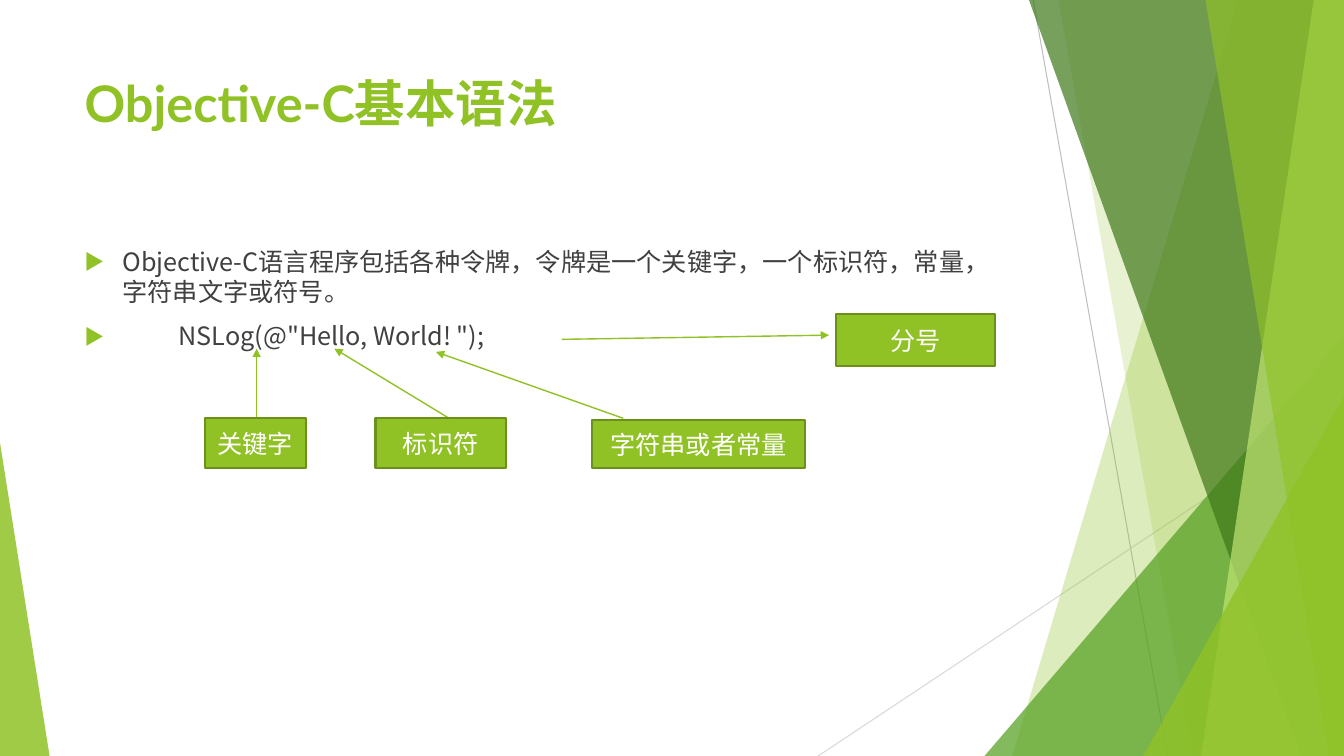
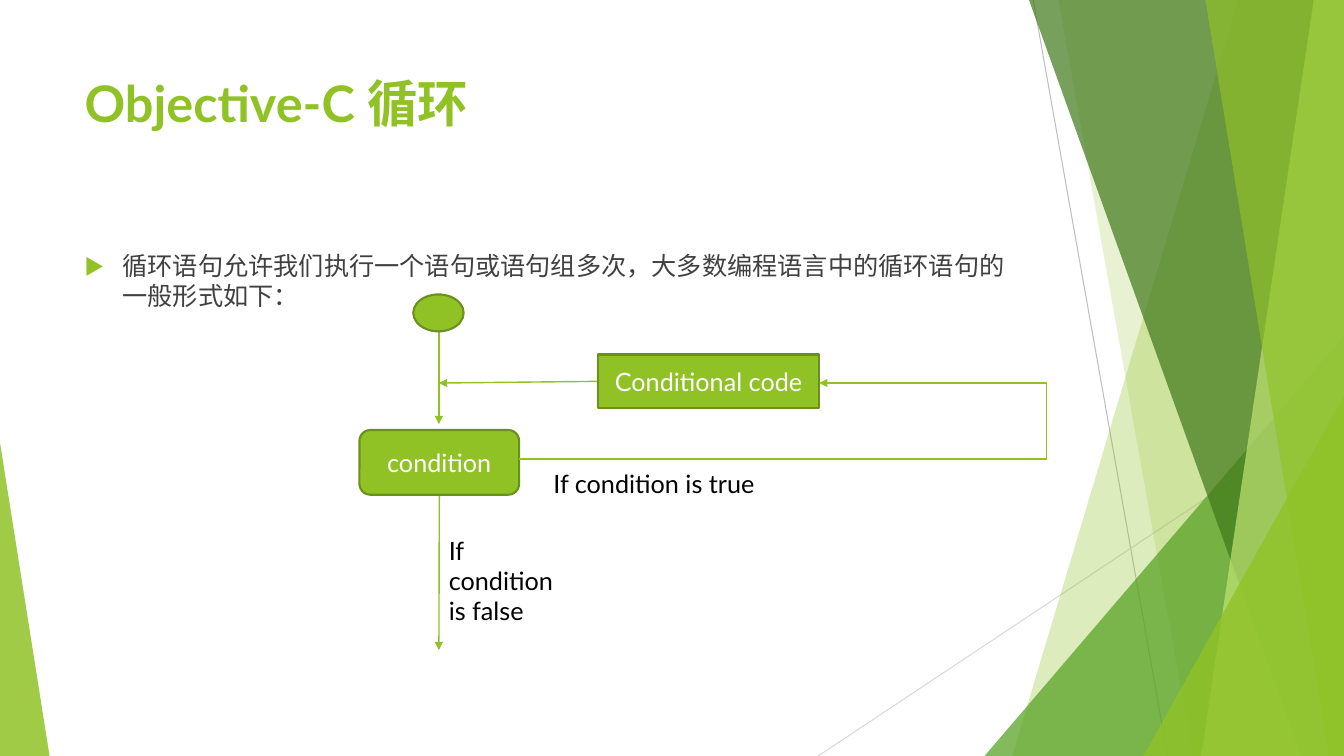
"""Two Objective-C slides: basic syntax tokens and the loop flow chart."""
from lxml import etree
from pptx import Presentation
from pptx import util as u
from pptx.dml.color import RGBColor
from pptx.enum import shapes, text
from pptx.oxml.ns import qn

GREEN = RGBColor(0x90, 0xC2, 0x26)
EDGE = RGBColor(0x6B, 0x90, 0x1C)
LEAF = RGBColor(0x54, 0xA0, 0x21)
FOREST = RGBColor(0x3F, 0x78, 0x19)
LIME = RGBColor(0xC0, 0xE4, 0x74)
SILVER = RGBColor(0xBF, 0xBF, 0xBF)
MIST = RGBColor(0xD9, 0xD9, 0xD9)
INK = RGBColor(0x40, 0x40, 0x40)
BLACK = RGBColor(0, 0, 0)
WHITE = RGBColor(0xFF, 0xFF, 0xFF)
LATIN, CJK = "Lato", "Noto Sans CJK SC"
COLS, ROWS = 160, 90
KIND, LINK = shapes.MSO_SHAPE, shapes.MSO_CONNECTOR

prs = Presentation()
prs.slide_width, prs.slide_height = u.Inches(13.333), u.Inches(7.5)
CELL = prs.slide_height / ROWS
blank = prs.slide_layouts[6]


def add_line(parent, ends, colour, width, kind=LINK.STRAIGHT, arrow=False):
    c = parent.add_connector(kind, *(round(v * CELL) for v in ends))
    c.line.color.rgb, c.line.width = colour, u.Pt(width)
    spPr = c.element.spPr
    if arrow:
        etree.SubElement(spPr.find(qn("a:ln")), qn("a:tailEnd"), type="triangle")
    etree.SubElement(spPr, qn("a:effectLst"))
    return c


def add_run(p, words, size, colour, bold=False, font=LATIN):
    r = p.add_run()
    r.text = words
    r.font.size, r.font.bold, r.font.name = u.Pt(size), bold, font
    r.font.color.rgb = colour
    etree.SubElement(r.font._element, qn("a:ea"), typeface=CJK)


# Facets: (x at top, x at bottom) or (left, top, width, height, apex)
FACETS = [
    ((147.4, 120.5), GREEN, 30),
    ((126, 142), GREEN, 20),
    ((117.2, 40, 42.8, 50, 1), LEAF, 72),
    ((122.5, 154.9), FOREST, 70),
    ((156.4, 143), LIME, 70),
    ((143.5, 158.2), GREEN, 65),
    ((136.1, 47.2, 23.9, 42.8, 1), GREEN, 80),
    ((0, 52.7, 5.9, 37.3, 0), GREEN, 85),
]

SLIDES = [
    {
        "title": "Objective-C基本语法",
        "top": 28.7,
        "font": CJK,
        "bullets": [
            ("Objective-C语言程序包括各种令牌，令牌是一个关键字，一个标识符，常量，字符串文字或符号。", 4.5),
            ('NSLog(@"Hello, World! ");', 11.2),
        ],
        "arrows": [
            (30.55, 50.3, 30.55, 41.5),
            (53.8, 50, 39.8, 41.5),
            (74.2, 49.8, 51.9, 41.9),
            (66.9, 40.4, 98.7, 39.9),
        ],
        "boxes": [
            (KIND.RECTANGLE, (24.4, 49.75, 12, 6), "关键字"),
            (KIND.RECTANGLE, (44.7, 49.75, 15.5, 6), "标识符"),
            (KIND.RECTANGLE, (70.5, 50, 25.3, 5.7), "字符串或者常量"),
            (KIND.RECTANGLE, (99.5, 37.4, 19, 6.2), "分号"),
        ],
        "labels": [],
        "loops": [],
    },
    {
        "title": "Objective-C 循环",
        "top": 29.2,
        "font": LATIN,
        "bullets": [("循环语句允许我们执行一个语句或语句组多次，大多数编程语言中的循环语句的一般形式如下：", 4.5)],
        "arrows": [
            (52.25, 39.2, 52.25, 50.5),
            (52.3, 58.9, 52.25, 77.4),
            (71.2, 45.4, 52.25, 45.6),
        ],
        "boxes": [
            (KIND.OVAL, (49.2, 35.05, 6, 4.4), ""),
            (KIND.ROUNDED_RECTANGLE, (42.8, 51.2, 19, 7.7), "condition"),
            (KIND.RECTANGLE, (71.2, 42.2, 26.3, 6.4), "Conditional code"),
        ],
        "labels": [
            ((52.25, 63.1, 17, 12.1), "If condition is false"),
            ((64.7, 55.15, 29.2, 4.8), "If condition is true"),
        ],
        "loops": [((61.8, 54.65, 97.5, 45.6), 175900)],
    },
]

for number, page in enumerate(SLIDES):
    s = prs.slides.add_slide(blank)

    if number == 0:
        backdrop = s.shapes.add_group_shape()
        add_line(backdrop.shapes, (123, 0, 139, ROWS), SILVER, 0.75)
        add_line(backdrop.shapes, (COLS, 48.4, 97.4, ROWS), MIST, 0.75)
        for outline, colour, opacity in FACETS:
            if len(outline) == 2:
                top, bottom, right, floor = (round(v * CELL) for v in (*outline, COLS, ROWS))
                pen = backdrop.shapes.build_freeform(top, 0)
                pen.add_line_segments([(right, 0), (right, floor), (bottom, floor)])
                sp = pen.convert_to_shape()
            else:
                *place, apex = outline
                sp = backdrop.shapes.add_shape(KIND.ISOSCELES_TRIANGLE, *(round(v * CELL) for v in place))
                sp.adjustments[0] = apex
            sp.shadow.inherit = False
            sp.line.fill.background()
            sp.fill.solid()
            sp.fill.fore_color.rgb = colour
            tint = sp.element.spPr.find(qn("a:solidFill")).find(qn("a:srgbClr"))
            etree.SubElement(tint, qn("a:alpha"), val=str(opacity * 1000))
        blank.shapes.element.append(backdrop.element)

    tf = s.shapes.add_textbox(*(round(v * CELL) for v in (8.9, 8, 112.8, 17.3))).text_frame
    tf.word_wrap = True
    add_run(tf.paragraphs[0], page["title"], 36, GREEN, bold=True)

    tf = s.shapes.add_textbox(*(round(v * CELL) for v in (8.9, page["top"], 112.8, 50.9))).text_frame
    tf.word_wrap = True
    for i, (words, indent) in enumerate(page["bullets"]):
        p = tf.add_paragraph() if i else tf.paragraphs[0]
        pPr = p._p.get_or_add_pPr()
        pPr.set("marL", str(round(indent * CELL)))
        pPr.set("indent", str(round(-indent * CELL)))
        if i:
            p.space_before = u.Pt(10)
        etree.SubElement(etree.SubElement(pPr, qn("a:buClr")), qn("a:srgbClr"), val=str(GREEN))
        etree.SubElement(pPr, qn("a:buSzPct"), val="80000")
        etree.SubElement(pPr, qn("a:buFont"), typeface=CJK)
        etree.SubElement(pPr, qn("a:buChar"), char="▶")
        add_run(p, words, 18, INK, font=page["font"])

    for ends in page["arrows"]:
        add_line(s.shapes, ends, GREEN, 1, arrow=True)

    for kind, place, words in page["boxes"]:
        sp = s.shapes.add_shape(kind, *(round(v * CELL) for v in place))
        sp.shadow.inherit = False
        sp.fill.solid()
        sp.fill.fore_color.rgb = GREEN
        sp.line.color.rgb, sp.line.width = EDGE, u.Pt(1.5)
        if words:
            tf = sp.text_frame
            tf.word_wrap = True
            tf.vertical_anchor = text.MSO_ANCHOR.MIDDLE
            p = tf.paragraphs[0]
            p.alignment = text.PP_ALIGN.CENTER
            add_run(p, words, 18, WHITE)

    for place, words in page["labels"]:
        tf = s.shapes.add_textbox(*(round(v * CELL) for v in place)).text_frame
        tf.word_wrap = True
        add_run(tf.paragraphs[0], words, 18, BLACK)

    for ends, reach in page["loops"]:
        c = add_line(s.shapes, ends, GREEN, 1, kind=LINK.ELBOW, arrow=True)
        guides = c.element.spPr.find(qn("a:prstGeom")).find(qn("a:avLst"))
        etree.SubElement(guides, qn("a:gd"), name="adj1", fmla=f"val {reach}")

prs.save("out.pptx")
